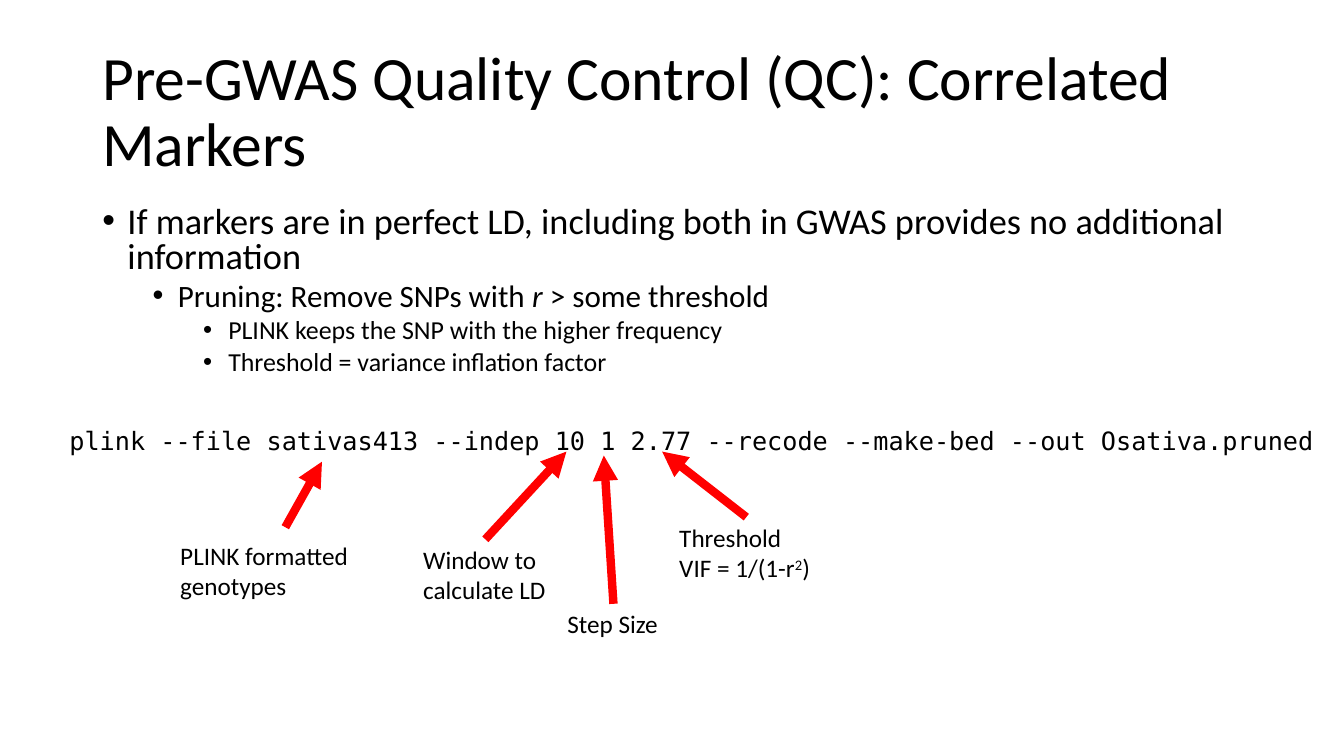
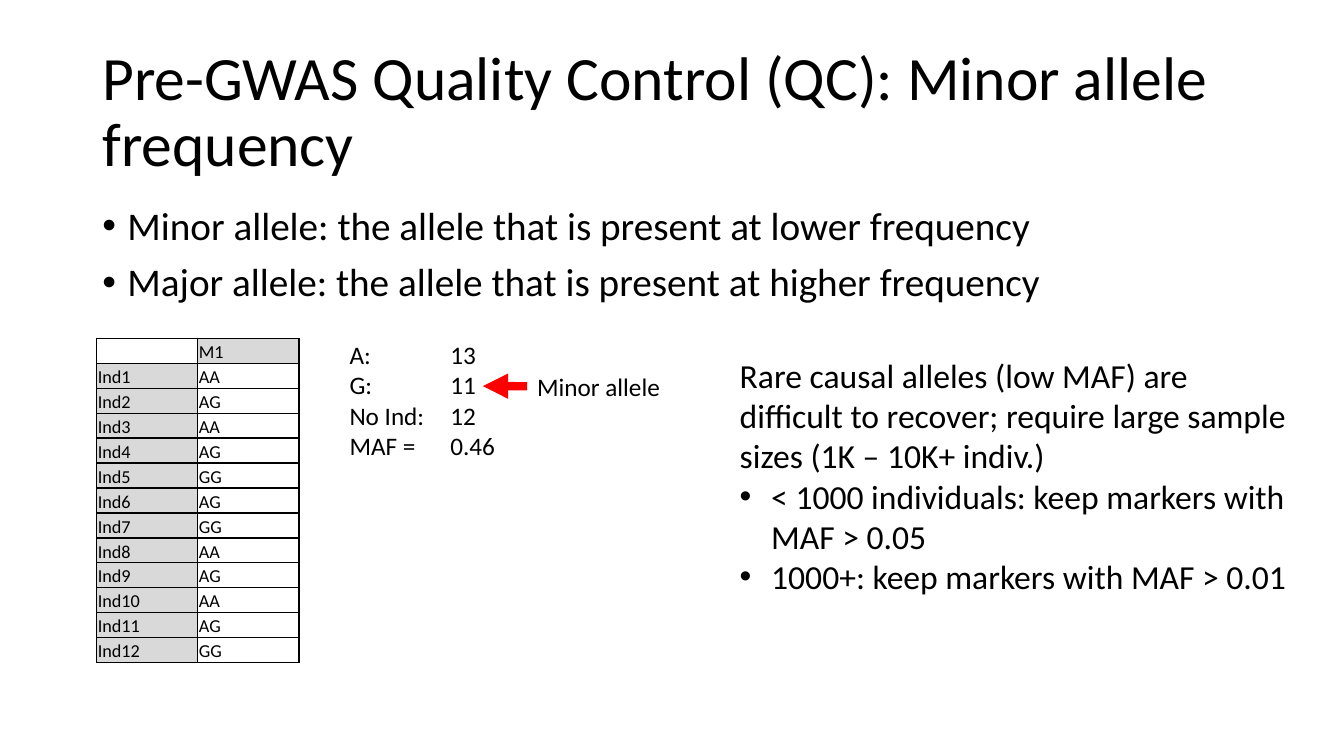
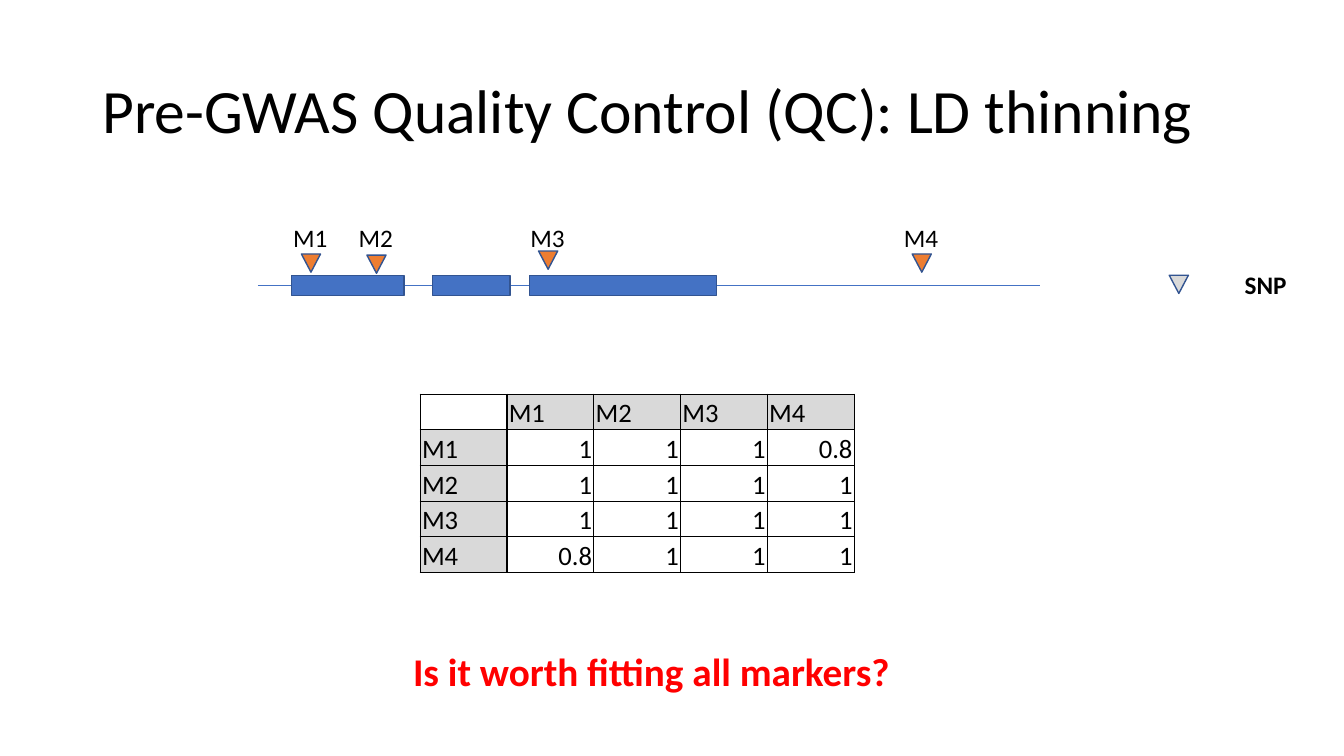
from dataclasses import dataclass, field

import pptx
import pptx.dml.color
import pptx.enum.shapes
import pptx.enum.text
import pptx.oxml.ns
import pptx.util
from lxml import etree

Pt = pptx.util.Pt
RGBColor = pptx.dml.color.RGBColor
Anchor = pptx.enum.text.MSO_ANCHOR
Align = pptx.enum.text.PP_ALIGN
AutoSize = pptx.enum.text.MSO_AUTO_SIZE
Shape = pptx.enum.shapes.MSO_SHAPE
qn = pptx.oxml.ns.qn

BLACK = RGBColor(0x00, 0x00, 0x00)
WHITE = RGBColor(0xFF, 0xFF, 0xFF)
GREY = RGBColor(0xD9, 0xD9, 0xD9)
RED = RGBColor(0xFF, 0x00, 0x00)
BLUE = RGBColor(0x44, 0x72, 0xC4)
DARK_BLUE = RGBColor(0x32, 0x54, 0x91)
ORANGE = RGBColor(0xED, 0x7D, 0x31)

FONT = "Calibri"
CODE_FONT = "DejaVu Sans Mono"
TITLE_AREA = (66, 28.8, 828, 104.4)
BODY_AREA = (66, 144, 828, 132.5)
LABEL_HEIGHT = 29
TOP, LEFT = 0, 1
MARKERS = ["M1", "M2", "M3", "M4"]


@dataclass
class Para:
    """A paragraph: its spans are (text, font values) pairs."""
    spans: list
    indent: float = 0
    hanging: float = 0
    tab: float = 0
    layout: dict = field(default_factory=dict)
    font: dict = field(default_factory=dict)


def add_child(parent, tag, **attributes):
    return etree.SubElement(parent, qn(tag), **attributes)


def style_font(font, values):
    for name, value in values.items():
        if name == "color":
            font.color.rgb = value
        else:
            setattr(font, name, value)


def fill_paragraph(para, content, base_font):
    properties = para._p.get_or_add_pPr()
    if content.hanging:
        properties.set("marL", str(Pt(content.indent)))
        properties.set("indent", str(-Pt(content.hanging)))
        add_child(properties, "a:buFont", typeface="Arial")
        add_child(properties, "a:buChar", char="•")
    if content.tab:
        tabs = add_child(properties, "a:tabLst")
        add_child(tabs, "a:tab", pos=str(Pt(content.tab)), algn="l")
    for name, value in content.layout.items():
        setattr(para, name, value)
    for text, values in content.spans:
        values = {**base_font, **content.font, **values}
        raised = values.pop("raised", False)
        span = para.add_run()
        span.text = text
        style_font(span.font, values)
        if raised:
            span._r.get_or_add_rPr().set("baseline", "30000")


def add_text(page, area, paragraphs, wrap=False, grow=True,
             anchor=Anchor.TOP, **font):
    """Add a text box; a plain string stands for a paragraph of one span."""
    box = page.shapes.add_textbox(*map(Pt, area))
    frame = box.text_frame
    frame.word_wrap = wrap
    frame.auto_size = AutoSize.SHAPE_TO_FIT_TEXT if grow else AutoSize.NONE
    frame.vertical_anchor = anchor
    base_font = {"name": FONT, "size": Pt(18), "color": BLACK, **font}
    for index, content in enumerate(paragraphs):
        if isinstance(content, str):
            content = Para([(content, {})])
        para = frame.add_paragraph() if index else frame.paragraphs[0]
        fill_paragraph(para, content, base_font)
    return box


def add_page(deck, topic):
    page = deck.slides.add_slide(deck.slide_layouts[6])
    title = Para([(f"Pre-GWAS Quality Control (QC): {topic}", {})],
                 layout={"line_spacing": 0.9})
    add_text(page, TITLE_AREA, [title], wrap=True, grow=False,
             anchor=Anchor.MIDDLE, size=Pt(44))
    return page


def add_body(page, items, line_spacing):
    """Add the bullet list; each item is (level, size, spans)."""
    paragraphs = []
    for index, (level, size, spans) in enumerate(items):
        layout = {"line_spacing": line_spacing}
        if index:
            layout["space_before"] = Pt(5 if level else 10)
        paragraphs.append(Para(spans, 18 + 36 * level, 18, layout=layout,
                               font={"size": Pt(size)}))
    add_text(page, BODY_AREA, paragraphs, wrap=True, grow=False)


def add_line(page, start, end, color, width, arrow=False):
    line = page.shapes.add_connector(
        pptx.enum.shapes.MSO_CONNECTOR.STRAIGHT, *map(Pt, (*start, *end)))
    line.line.color.rgb = color
    line.line.width = Pt(width)
    if arrow:
        add_child(line.line._get_or_add_ln(), "a:tailEnd", type="triangle")
    add_child(line._element.spPr, "a:effectLst")
    return line


def add_red_arrow(page, start, end, label=None, side=TOP):
    arrow = add_line(page, start, end, RED, 6, arrow=True)
    if label is not None:
        arrow.begin_connect(label, side)


def add_outlined(page, preset, area, color, rotation=0):
    shape = page.shapes.add_shape(preset, *map(Pt, area))
    shape.shadow.inherit = False
    shape.rotation = rotation
    shape.fill.solid()
    shape.fill.fore_color.rgb = color
    shape.line.color.rgb = DARK_BLUE
    shape.line.width = Pt(1)


def add_snp(page, center, top, color):
    width = 13.7
    add_outlined(page, Shape.ISOSCELES_TRIANGLE,
                 (center - width / 2, top, width, 13), color, rotation=180)


def border_cell(cell):
    properties = cell._tc.get_or_add_tcPr()
    for index, side in enumerate(("a:lnL", "a:lnR", "a:lnT", "a:lnB")):
        border = add_child(properties, side, w=str(Pt(1)))
        add_child(add_child(border, "a:solidFill"), "a:srgbClr", val=str(BLACK))
        properties.insert(index, border)


def add_grid(page, origin, cell_size, rows, size, inset, value_align):
    """Add a table whose first row and first column are grey headings."""
    width, height = cell_size
    row_count, column_count = len(rows), len(rows[0])
    table = page.shapes.add_table(
        row_count, column_count, *map(Pt, origin),
        Pt(width * column_count), Pt(height * row_count)).table
    table.first_row = table.horz_banding = False
    for row in table.rows:
        row.height = Pt(height)
    margins = {"margin_left": inset, "margin_right": inset,
               "margin_top": inset, "margin_bottom": 0}
    font = {"name": FONT, "size": Pt(size), "color": BLACK}
    for row_index, texts in enumerate(rows):
        for column_index, text in enumerate(texts):
            cell = table.cell(row_index, column_index)
            heading = row_index == 0 or column_index == 0
            for name, value in margins.items():
                setattr(cell, name, Pt(value))
            cell.vertical_anchor = Anchor.BOTTOM
            cell.fill.solid()
            cell.fill.fore_color.rgb = GREY if heading and text else WHITE
            border_cell(cell)
            para = cell.text_frame.paragraphs[0]
            if text:
                align = Align.LEFT if heading else value_align
                fill_paragraph(para, Para([(text, {})],
                                          layout={"alignment": align}), font)
            else:
                add_child(para._p, "a:endParaRPr", sz=str(size * 100))


def build_correlated_markers(deck):
    page = add_page(deck, "Correlated Markers")
    add_body(page, [
        (0, 25.9, [("If markers are in perfect LD, including both in GWAS "
                    "provides no additional information", {})]),
        (1, 22.2, [("Pruning: Remove SNPs with ", {}), ("r ", {"italic": True}),
                   ("> some threshold", {})]),
        (2, 18.5, [("PLINK keeps the SNP with the higher frequency", {})]),
        (2, 18.5, [("Threshold = variance inflation factor", {})]),
    ], line_spacing=0.8)
    add_text(page, (42.5, 300.2, 904.3, LABEL_HEIGHT),
             ["plink --file sativas413 --indep 10 1 2.77 --recode "
              "--make-bed --out Osativa.pruned"], name=CODE_FONT)

    add_text(page, (121.7, 382.3, 136, 51), ["PLINK formatted", "genotypes"])
    add_red_arrow(page, (203.8, 376.6), (230, 329.8))
    vif = Para([("VIF = 1/(1-r", {}), ("2", {"raised": True}), (")", {})])
    for area, paragraphs, target in [
        ((295.2, 385.2, 103, 51), ["Window to", "calculate LD"], (404.6, 322.6)),
        ((398.2, 431.3, 80, LABEL_HEIGHT), ["Step Size"], (431.3, 325.4)),
        ((478.1, 369.4, 110, 51), ["Threshold", vif], (473, 322.6)),
    ]:
        left, top, width, _ = area
        label = add_text(page, area, paragraphs)
        add_red_arrow(page, (left + width / 2, top), target, label)


def build_minor_allele(deck):
    page = add_page(deck, "Minor allele frequency")
    add_body(page, [
        (0, 28, [(f"{kind} allele: the allele that is present at {level} "
                  "frequency", {})])
        for kind, level in (("Minor", "lower"), ("Major", "higher"))
    ], line_spacing=0.9)

    genotypes = "AA AG AA AG GG AG GG AA AG AA AG GG".split()
    rows = [["", "M1"]] + [[f"Ind{number}", genotype]
                           for number, genotype in enumerate(genotypes, 1)]
    add_grid(page, (69.1, 241.6), (72.2, 17.83), rows, 13, 0.8, Align.LEFT)

    counts = [("A:", "13"), ("G:", "11"), ("No Ind:", "12"), ("MAF =", "0.46")]
    add_text(page, (242.6, 239, 119.5, 94.3),
             [Para([(f"{name}\t{value}", {})], tab=72)
              for name, value in counts])
    label = add_text(page, (376.6, 261.4, 103, LABEL_HEIGHT), ["Minor allele"])
    add_red_arrow(page, (376.6, 275.8), (344.9, 275.8), label, LEFT)

    advice = ["< 1000 individuals: keep markers with MAF > 0.05",
              "1000+: keep markers with MAF > 0.01"]
    add_text(page, (521.3, 249.8, 411.1, 211),
             ["Rare causal alleles (low MAF) are difficult to recover; require "
              "large sample sizes (1K – 10K+ indiv.)"]
             + [Para([(text, {})], 22.5, 22.5) for text in advice],
             wrap=True, size=Pt(24))


def build_ld_thinning(deck):
    page = add_page(deck, "LD thinning")
    add_line(page, (184.3, 203.8), (743, 203.8), BLUE, 0.5)
    for left, width in ((208, 80.6), (308.9, 55.4), (378, 134)):
        add_outlined(page, Shape.RECTANGLE, (left, 197, width, 14), BLUE)

    label_width = 39.6
    places = [(222.1, 181.4), (268.9, 182.2), (391.5, 179.3), (658.4, 181.4)]
    for name, (center, top) in zip(MARKERS, places):
        add_snp(page, center, top, ORANGE)
        add_text(page, (center - label_width / 2, 155.5, label_width,
                        LABEL_HEIGHT), [name])
    add_snp(page, 842, 196.6, GREY)
    add_text(page, (882, 188.6, 44.6, LABEL_HEIGHT), ["SNP"], bold=True)

    correlations = [["1", "1", "1", "0.8"], ["1"] * 4, ["1"] * 4,
                    ["0.8", "1", "1", "1"]]
    rows = [["", *MARKERS]] + [[name, *values] for name, values
                               in zip(MARKERS, correlations)]
    add_grid(page, (300.2, 281.5), (62, 25.5), rows, 19, 1.3, Align.RIGHT)
    add_text(page, (288, 458.6, 360, 41), ["Is it worth fitting all markers?"],
             size=Pt(28), bold=True, color=RED)


def main():
    deck = pptx.Presentation()
    deck.slide_width, deck.slide_height = Pt(960), Pt(540)
    build_correlated_markers(deck)
    build_minor_allele(deck)
    build_ld_thinning(deck)
    deck.save("out.pptx")


if __name__ == "__main__":
    main()
